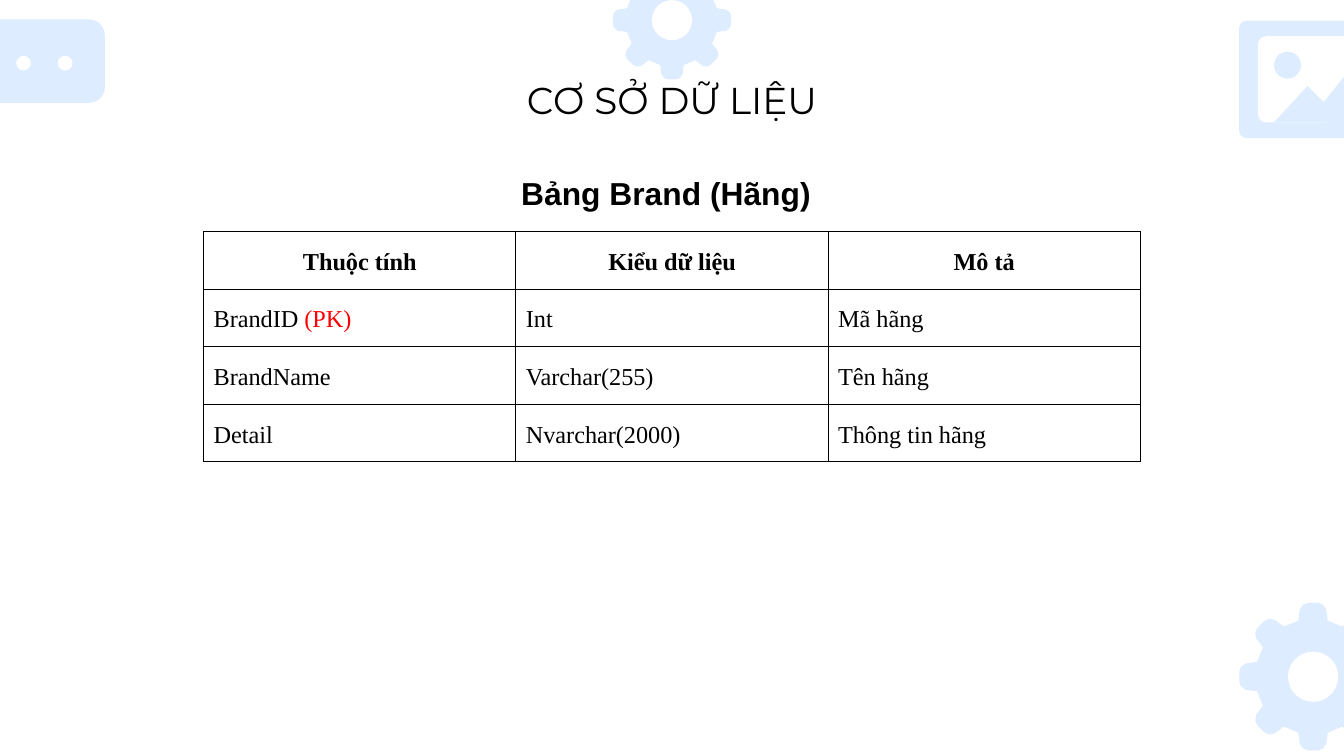
from dataclasses import dataclass
from math import cos, pi, sin

from lxml.etree import SubElement
from pptx import Presentation
from pptx.dml.color import RGBColor
from pptx.enum.shapes import MSO_SHAPE as Preset
from pptx.enum.text import MSO_ANCHOR as Anchor, MSO_AUTO_SIZE as AutoSize, PP_ALIGN as Align
from pptx.oxml.ns import qn
from pptx.util import Inches, Pt

UNIT = Inches(0.1)
SLIDE_WIDTH = Inches(10)
SLIDE_HEIGHT = SLIDE_WIDTH * 9 // 16
PALE, WHITE, BLACK, RED = "DDECFF", "FFFFFF", "000000", "FF0000"
KEY_MARK = "(PK)"
TOOTH = [(-0.2, 0.76), (-0.18, 0.91), (-0.13, 0.98), (-0.07, 1),
         (0.07, 1), (0.13, 0.98), (0.18, 0.91), (0.2, 0.76)]
TEETH = 8
HOLE_SHARE = 0.34
BORDER_TAGS = ("a:lnL", "a:lnR", "a:lnT", "a:lnB")


@dataclass(frozen=True)
class Box:
    """A rectangle on a grid of tenths of an inch."""
    column: float
    row: float
    columns: float
    rows: float

    def emu(self) -> list[int]:
        """Return left, top, width and height as slide lengths."""
        return [round(n * UNIT) for n in (self.column, self.row, self.columns, self.rows)]


@dataclass(frozen=True)
class Panel:
    """A preset shape in one plain colour, with an optional corner radius."""
    box: Box
    colour: str
    preset: Preset = Preset.OVAL
    radius: float = 0


@dataclass(frozen=True)
class Gear:
    """A toothed wheel given by its centre and outer radius."""
    column: float
    row: float
    radius: float


@dataclass(frozen=True)
class Style:
    """Type settings for one paragraph."""
    font: str
    size: float
    bold: bool = False
    align: Align = Align.LEFT
    spacing: float = 1
    before: float = 0
    after: float = 0


TITLE = Style("Montserrat", 20, align=Align.CENTER)
CAPTION = Style("Arial", 17, True, Align.JUSTIFY, 1.15, 18, 4)
HEADER = Style("Times New Roman", 13, True, Align.CENTER, 1.15, 12)
BODY = Style("Times New Roman", 13, spacing=1.15, before=12)

GEARS = [Gear(97.7, 50.35, 5.48), Gear(50, 1.5, 4.4)]
PANELS = [
    Panel(Box(-4.4, 1.45, 12.2, 6.2), PALE, Preset.ROUNDED_RECTANGLE, 1.15),
    Panel(Box(1.2, 4.15, 1.1, 1.1), WHITE),
    Panel(Box(4.3, 4.15, 1.1, 1.1), WHITE),
    Panel(Box(92.2, 1.53, 12.2, 8.75), PALE, Preset.ROUNDED_RECTANGLE, 0.55),
    Panel(Box(93.6, 2.7, 9.5, 6.4), WHITE, Preset.ROUNDED_RECTANGLE, 0.6),
    Panel(Box(94.8, 3.85, 2, 2), PALE),
]
MOUNTAINS = [(94.8, 9.1), (97.3, 6.4), (98.5, 7.6), (101, 4.5), (103.1, 7.3), (103.1, 9.1)]
TABLE_BOX = Box(15.15, 17.23, 69.7, 17.1)
ATTRIBUTES = [
    ("Thuộc tính", "Kiểu dữ liệu", "Mô tả"),
    ("BrandID (PK)", "Int", "Mã hãng"),
    ("BrandName", "Varchar(255)", "Tên hãng"),
    ("Detail", "Nvarchar(2000)", "Thông tin hãng"),
]


def rgb(colour: str) -> RGBColor:
    """Turn a hex string into a colour."""
    return RGBColor.from_string(colour)


def paint(shape, colour: str) -> None:
    """Fill a shape plainly, with neither line nor shadow."""
    shape.fill.solid()
    shape.fill.fore_color.rgb = rgb(colour)
    shape.line.fill.background()
    shape.shadow.inherit = False


def draw_panel(shapes, panel: Panel) -> None:
    """Add a preset shape."""
    shape = shapes.add_shape(panel.preset, *panel.box.emu())
    if panel.radius:
        shape.adjustments[0] = panel.radius / min(panel.box.columns, panel.box.rows)
    paint(shape, panel.colour)


def draw_outline(shapes, points: list[tuple[float, float]], colour: str) -> None:
    """Add a closed polygon."""
    corners = [(round(column * UNIT), round(row * UNIT)) for column, row in points]
    builder = shapes.build_freeform(*corners[0])
    builder.add_line_segments(corners[1:], close=True)
    paint(builder.convert_to_shape(), colour)


def draw_gear(shapes, gear: Gear) -> None:
    """Add a wheel by turning one tooth around the centre, then its hole."""
    rim = []
    for turn in (2 * pi * tooth / TEETH for tooth in range(TEETH)):
        for across, along in TOOTH:
            rim.append((gear.column + gear.radius * (across * cos(turn) + along * sin(turn)),
                        gear.row + gear.radius * (across * sin(turn) - along * cos(turn))))
    draw_outline(shapes, rim, PALE)
    hole = gear.radius * HOLE_SHARE
    draw_panel(shapes, Panel(Box(gear.column - hole, gear.row - hole, 2 * hole, 2 * hole), WHITE))


def write(frame, text: str, style: Style) -> None:
    """Write one styled paragraph, with the key mark in red."""
    paragraph = frame.paragraphs[0]
    paragraph.alignment = style.align
    paragraph.line_spacing = style.spacing
    paragraph.space_before, paragraph.space_after = Pt(style.before), Pt(style.after)
    font = paragraph.font
    font.name, font.size, font.bold = style.font, Pt(style.size), style.bold
    font.color.rgb = rgb(BLACK)
    label, mark, _ = text.partition(KEY_MARK)
    paragraph.add_run().text = label
    if mark:
        key = paragraph.add_run()
        key.text = mark
        key.font.color.rgb = rgb(RED)


def place_text(shape, box: Box, anchor: Anchor, text: str, style: Style) -> None:
    """Move a text shape to its box and write in it."""
    shape.left, shape.top, shape.width, shape.height = box.emu()
    frame = shape.text_frame
    frame.word_wrap, frame.auto_size, frame.vertical_anchor = True, AutoSize.NONE, anchor
    frame.margin_left = frame.margin_right = frame.margin_top = frame.margin_bottom = UNIT
    write(frame, text, style)


def format_cell(cell) -> None:
    """Give a cell its margins, thin black borders and no fill."""
    cell.margin_left = cell.margin_right = round(0.75 * UNIT)
    cell.margin_top = cell.margin_bottom = UNIT
    properties = cell._tc.get_or_add_tcPr()
    for tag in BORDER_TAGS:
        border = SubElement(properties, qn(tag), w=str(Pt(0.6)))
        SubElement(SubElement(border, qn("a:solidFill")), qn("a:srgbClr"), val=BLACK)
    cell.fill.background()


def draw_table(shapes, box: Box, rows: list[tuple[str, ...]]) -> None:
    """Add the table of attributes, with its first row as header."""
    table = shapes.add_table(len(rows), len(rows[0]), *box.emu()).table
    table.first_row = table.horz_banding = False
    for r, row in enumerate(rows):
        for c, text in enumerate(row):
            cell = table.cell(r, c)
            format_cell(cell)
            write(cell.text_frame, text, BODY if r else HEADER)


def main() -> None:
    """Build the slide and save it."""
    deck = Presentation()
    deck.slide_width, deck.slide_height = SLIDE_WIDTH, SLIDE_HEIGHT
    slide = deck.slides.add_slide(deck.slide_layouts[5])
    shapes = slide.shapes
    for gear in GEARS:
        draw_gear(shapes, gear)
    for panel in PANELS:
        draw_panel(shapes, panel)
    draw_outline(shapes, MOUNTAINS, PALE)
    place_text(shapes.title, Box(14.05, 4.75, 71.9, 5.9), Anchor.TOP, "CƠ SỞ DỮ LIỆU", TITLE)
    draw_table(shapes, TABLE_BOX, ATTRIBUTES)
    caption_box = Box(37.8, 11.8, 24.4, 4.7)
    caption = shapes.add_textbox(*caption_box.emu())
    place_text(caption, caption_box, Anchor.MIDDLE, "Bảng Brand (Hãng)", CAPTION)
    deck.save("out.pptx")


if __name__ == "__main__":
    main()
